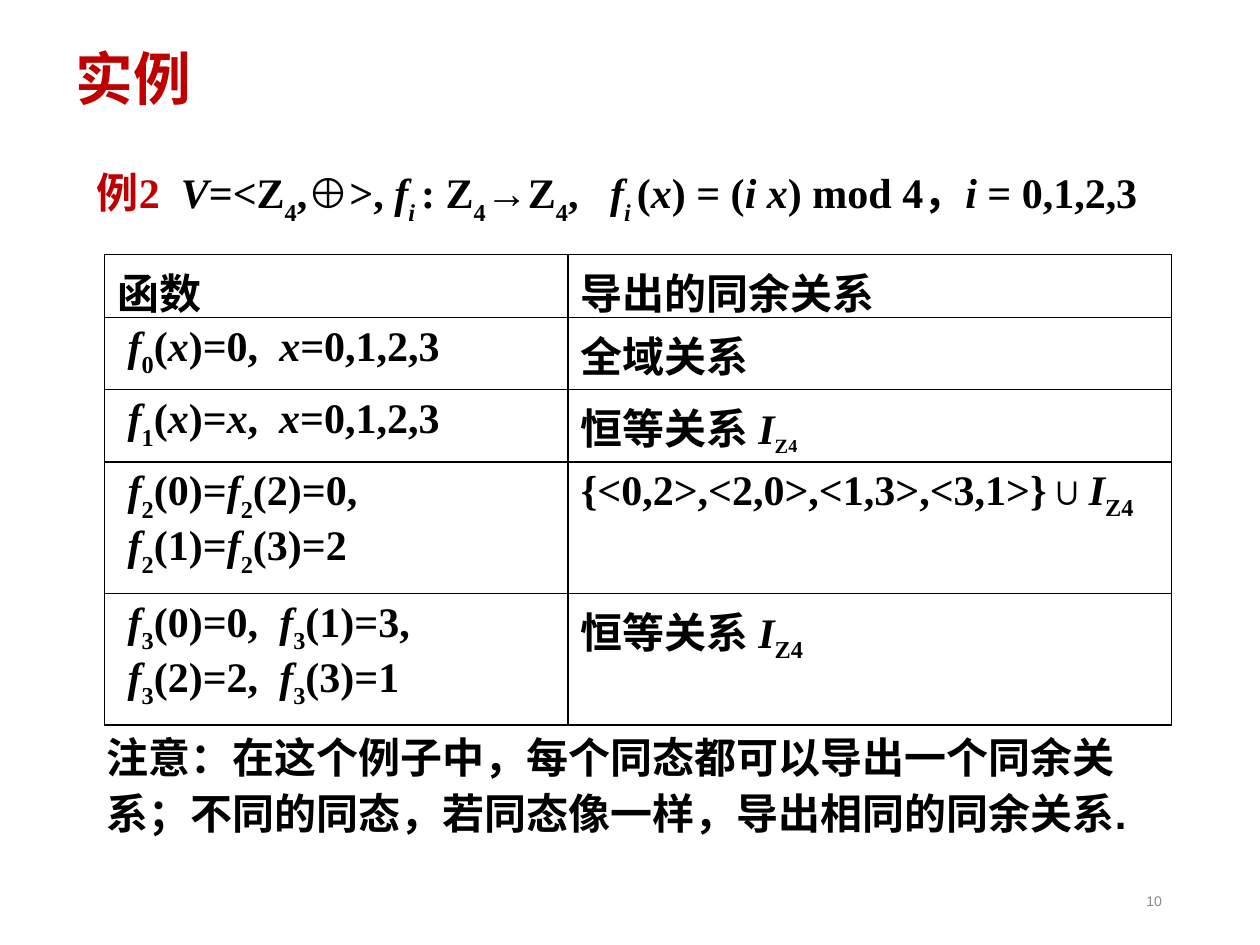
from lxml import etree
from pptx import Presentation
from pptx.dml.color import RGBColor
from pptx.enum import text as t
from pptx.oxml import parse_xml
from pptx.oxml.ns import nsdecls, qn
from pptx.util import Inches, Pt

RED = RGBColor(0xC0, 0x00, 0x00)
BLACK = RGBColor(0x00, 0x00, 0x00)
WHITE = RGBColor(0xFF, 0xFF, 0xFF)
GREY = RGBColor(0x89, 0x89, 0x89)
SERIF = "Times New Roman"

# Content. Marks toggle: * italic, _ subscript, ~ raised subscript,
# # red, ^ 20 pt, | 18 pt
TITLE = "实例"
EXAMPLE = ("#例2  #*V*=<Z_4_,⊕>,* f_i _*: Z_4_→Z_4_,   *f_i _*(*x*) = (*i x*) mod 4，"
           "*i* = 0,1,2,3")
ROWS = [
    (0.47, ["函数"], ["导出的同余关系"]),
    (0.55, ["* f*_0_(*x*)=0,  *x*=0,1,2,3"], ["全域关系"]),
    (0.55, ["* f*_1_(*x*)=*x*,  *x*=0,1,2,3"], ["恒等关系 *I*~^Z^|4|~"]),
    (0.99, ["* f*_2_(0)=*f*_2_(2)=0,", " *f*_2_(1)=*f*_2_(3)=2"],
     ["{<0,2>,<2,0>,<1,3>,<3,1>}∪*I*~Z4~"]),
    (0.96, ["* f*_3_(0)=0,  *f*_3_(1)=3,", "* f*_3_(2)=2,  *f*_3_(3)=1"],
     ["恒等关系 *I*~Z4~"]),
]
COLUMN_WIDTHS = (3.68, 4.79)
NOTE = ("注意：在这个例子中，每个同态都可以导出一个同余关系；"
        "不同的同态，若同态像一样，导出相同的同余关系.")
PAGE = "10"


def set_font(font, name, size, color, bold=True):
    font.name, font.size, font.bold = name, Pt(size), bold
    font.color.rgb = color


def write_formula(paragraph, marked):
    """Split marked text into runs with their own formatting."""
    on = dict.fromkeys("*_~#^|", False)
    pending = ""

    def flush():
        if not pending:
            return
        run = paragraph.add_run()
        run.text = pending
        size = 20 if on["^"] else 18 if on["|"] else 24
        set_font(run.font, SERIF, size, RED if on["#"] else BLACK)
        run.font.italic = on["*"]
        if on["_"] or on["~"]:
            run.font._element.set("baseline", "-30000" if on["_"] else "-25000")

    for char in marked:
        if char in on:
            flush()
            pending = ""
            on[char] = not on[char]
        else:
            pending += char
    flush()


def write_cell(cell, lines):
    frame = cell.text_frame
    for i, line in enumerate(lines):
        write_formula(frame.add_paragraph() if i else frame.paragraphs[0], line)
    # Half-transparent white fill, thin black borders
    cell.fill.solid()
    cell.fill.fore_color.rgb = WHITE
    props = cell._tc.get_or_add_tcPr()
    color = props.find(qn("a:solidFill"))[0]
    etree.SubElement(color, qn("a:alpha")).set("val", "50000")
    for i, side in enumerate(("lnL", "lnR", "lnT", "lnB")):
        props.insert(i, parse_xml(
            f'<a:{side} {nsdecls("a")} w="12700"><a:solidFill>'
            f'<a:srgbClr val="{BLACK}"/></a:solidFill></a:{side}>'))


def add_box(slide, left, top, width, height, anchor):
    box = slide.shapes.add_textbox(*map(Inches, (left, top, width, height)))
    frame = box.text_frame
    frame.word_wrap = True
    frame.vertical_anchor = anchor
    return frame


def main():
    prs = Presentation()
    prs.slide_width, prs.slide_height = Inches(10), Inches(7.5)
    slide = prs.slides.add_slide(prs.slide_layouts[5])

    # Title
    title = slide.shapes.title
    title.left, title.top = Inches(0.5), Inches(0.3)
    title.width, title.height = Inches(9), Inches(0.69)
    title.text_frame.text = TITLE
    title.text_frame.vertical_anchor = t.MSO_ANCHOR.MIDDLE
    heading = title.text_frame.paragraphs[0]
    heading.alignment = t.PP_ALIGN.LEFT
    heading.line_spacing = 0.9
    set_font(heading.font, "Calibri", 33, RED)

    # Page number
    page = add_box(slide, 7.07, 6.95, 2.25, 0.4, t.MSO_ANCHOR.MIDDLE).paragraphs[0]
    page.text = PAGE
    page.alignment = t.PP_ALIGN.RIGHT
    set_font(page.font, "Arial", 8, GREY, bold=False)

    # Example statement
    example = add_box(slide, 0.67, 1.31, 8.94, 0.5, t.MSO_ANCHOR.MIDDLE)
    example.auto_size = t.MSO_AUTO_SIZE.SHAPE_TO_FIT_TEXT
    write_formula(example.paragraphs[0], EXAMPLE)

    # Table of functions and congruence relations
    relations = slide.shapes.add_table(
        len(ROWS), len(COLUMN_WIDTHS), Inches(0.83), Inches(2.02),
        Inches(sum(COLUMN_WIDTHS)), Inches(sum(row[0] for row in ROWS))).table
    for column, width in zip(relations.columns, COLUMN_WIDTHS):
        column.width = Inches(width)
    for r, (height, *cells) in enumerate(ROWS):
        relations.rows[r].height = Inches(height)
        for c, lines in enumerate(cells):
            write_cell(relations.cell(r, c), lines)

    # Closing note
    note_frame = add_box(slide, 0.75, 5.72, 8.35, 0.98, t.MSO_ANCHOR.TOP)
    note_frame.auto_size = t.MSO_AUTO_SIZE.SHAPE_TO_FIT_TEXT
    note = note_frame.paragraphs[0]
    note.text = NOTE
    note.line_spacing = 1.1
    set_font(note.font, "Arial", 24, BLACK)

    prs.save("out.pptx")


if __name__ == "__main__":
    main()
